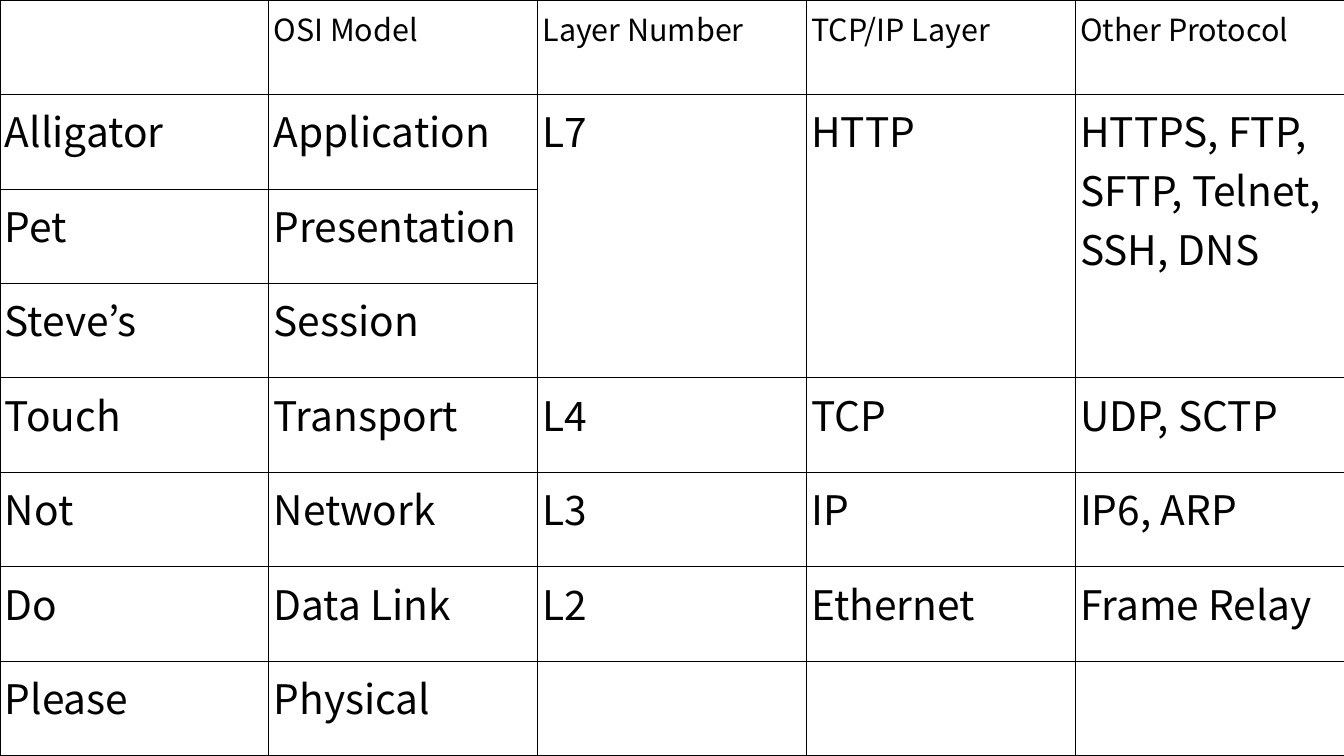
import pptx
import pptx.util
import pptx.dml.color
import lxml.etree

Pt = pptx.util.Pt
NS = "http://schemas.openxmlformats.org/drawingml/2006/main"
INK = "000000"


def color(code):
    return pptx.dml.color.RGBColor.from_string(code)


def border(cell):
    props = cell._tc.get_or_add_tcPr()
    for side in ("lnL", "lnR", "lnT", "lnB"):
        line = lxml.etree.SubElement(props, f"{{{NS}}}{side}", w=str(Pt(0.57)))
        fill = lxml.etree.SubElement(line, f"{{{NS}}}solidFill")
        lxml.etree.SubElement(fill, f"{{{NS}}}srgbClr", val=INK)


# Layers and their protocols
rows = [
    ["", "OSI Model", "Layer Number", "TCP/IP Layer", "Other Protocol"],
    ["Alligator", "Application", "L7", "HTTP", "HTTPS, FTP,\nSFTP, Telnet,\nSSH, DNS"],
    ["Pet", "Presentation", "", "", ""],
    ["Steve’s", "Session", "", "", ""],
    ["Touch", "Transport", "L4", "TCP", "UDP, SCTP"],
    ["Not", "Network", "L3", "IP", "IP6, ARP"],
    ["Do", "Data Link", "L2", "Ethernet", "Frame Relay"],
    ["Please", "Physical", "", "", ""],
]
inset = {"margin_left": Pt(2.9), "margin_right": Pt(2.9),
         "margin_top": Pt(3.6), "margin_bottom": Pt(3.6)}
wide, high = 158.7, 55.8

# Slide
deck = pptx.Presentation()
deck.slide_width, deck.slide_height = Pt(793.44), Pt(446.4)
slide = deck.slides.add_slide(deck.slide_layouts[6])

# Table grid
count, span = len(rows), len(rows[0])
frame = slide.shapes.add_table(count, span, 0, 0, Pt(wide * span), Pt(high * count))
table = frame.table
table.first_row = table.horz_banding = False
for col in table.columns:
    col.width = Pt(wide)
for row in table.rows:
    row.height = Pt(high)

# Cells
for r, texts in enumerate(rows):
    style = {"name": "Noto Sans CJK KR", "size": Pt(24 if r else 18), "bold": False}
    for c, text in enumerate(texts):
        cell = table.cell(r, c)
        border(cell)
        cell.fill.background()
        for key, value in inset.items():
            setattr(cell, key, value)
        cell.text = text
        for para in cell.text_frame.paragraphs:
            for run in para.runs:
                for key, value in style.items():
                    setattr(run.font, key, value)
                run.font.color.rgb = color(INK)

# The top three layers share their protocols
for c in range(2, span):
    table.cell(1, c).merge(table.cell(3, c))

deck.save("out.pptx")
